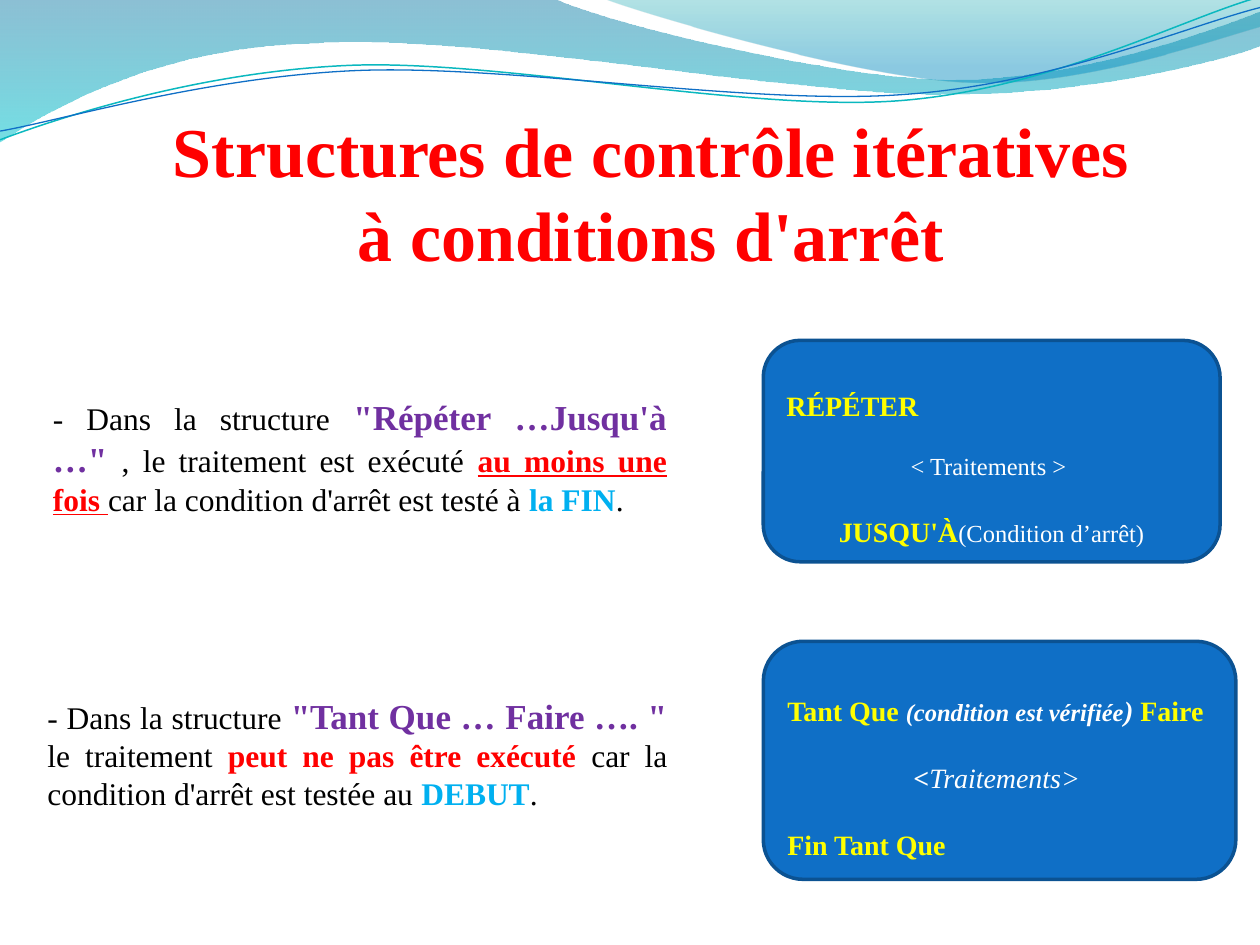
import pptx
import pptx.dml.color
import pptx.enum.shapes
import pptx.enum.text
import pptx.oxml.ns
import pptx.util
from lxml import etree

Pt = pptx.util.Pt
RGB = pptx.dml.color.RGBColor
ALIGN = pptx.enum.text.PP_ALIGN
qn = pptx.oxml.ns.qn

RED = RGB(0xFF, 0x00, 0x00)
BLACK = RGB(0x00, 0x00, 0x00)
WHITE = RGB(0xFF, 0xFF, 0xFF)
YELLOW = RGB(0xFF, 0xFF, 0x00)
PURPLE = RGB(0x70, 0x30, 0xA0)
SKY = RGB(0x00, 0xB0, 0xF0)
BLUE = RGB(0x0F, 0x6F, 0xC6)
DARK_BLUE = RGB(0x0B, 0x52, 0x92)
TURQUOISE = RGB(0x0A, 0xB8, 0xBF)
BAND_TOP, BAND_BOTTOM = RGB(0x00, 0x74, 0xA1), RGB(0x00, 0xC6, 0xCF)
CREST_TOP, CREST_BOTTOM = RGB(0x00, 0xA1, 0xA9), RGB(0x00, 0x8B, 0xBF)
FONT = "Times New Roman"

BAND = [[(0, 0)], [(316.8, -0.7)],
        [(342.7, 12.2), (478.1, 45.4), (545.8, 45.4)],
        [(614.2, 45.4), (689.8, 18.7), (720, 6.5)],
        [(720.7, 25.9)],
        [(707.8, 31.7), (626.4, 54.7), (537.1, 54)],
        [(447.8, 54), (275, 20.2), (185, 24.5)],
        [(92.9, 25.9), (33.1, 59.8), (-0.7, 81.4)]]
CREST = [[(344.9, -0.7)],
         [(366.5, 7.9), (491, 44.6), (553.7, 46.8)],
         [(616.3, 49.7), (691.9, 23), (720, 15.1)],
         [(720, 0)]]
UPPER_LINE = [[(0, 79.9)],
              [(34.6, 67), (113.8, 41), (199.4, 37.4)],
              [(284.4, 33.8), (427, 64.1), (513.4, 57.6)],
              [(599.8, 51.1), (675.4, 10.8), (718.6, -1.4)]]
LOWER_LINE = [[(0, 74.9)],
              [(33.8, 69.1), (118.1, 43.9), (203.8, 40.3)],
              [(290.2, 36.7), (429.8, 60.5), (516.2, 54)],
              [(601.9, 48.2), (677.5, 15.1), (720, 4.3)]]


def add_outline(slide, left, top, outline, closed):
    anchors = [(Pt(segment[-1][0]), Pt(segment[-1][1])) for segment in outline]
    builder = slide.shapes.build_freeform(*anchors[0], scale=1.0)
    builder.add_line_segments(anchors[1:], close=closed)
    wave = builder.convert_to_shape(Pt(left), Pt(top))
    wave.shadow.inherit = False
    min_x, min_y = (min(values) for values in zip(*anchors))
    straight_steps = list(wave._element.iter(qn("a:lnTo")))
    for step, segment in zip(straight_steps, outline[1:]):
        if len(segment) == 3:
            curve = etree.Element(qn("a:cubicBezTo"))
            for x, y in segment:
                etree.SubElement(curve, qn("a:pt"), x=str(Pt(x) - min_x), y=str(Pt(y) - min_y))
            step.getparent().replace(step, curve)
    return wave


def add_waves(slide, left, top):
    for outline, tints in ((BAND, ((0, BAND_TOP, 45), (1, BAND_BOTTOM, 55))),
                           (CREST, ((0, CREST_TOP, 30), (0.8, CREST_BOTTOM, 45)))):
        wave = add_outline(slide, left, top, outline, True)
        wave.line.fill.background()
        wave.fill.gradient()
        wave.fill.gradient_angle = 270
        for stop, (position, color, opacity) in zip(wave.fill.gradient_stops, tints):
            stop.position = position
            stop.color.rgb = color
            for rgb in stop._gs.iter(qn("a:srgbClr")):
                etree.SubElement(rgb, qn("a:alpha"), val=str(opacity * 1000))
    for outline, color, width in ((UPPER_LINE, TURQUOISE, 0.85), (LOWER_LINE, BLUE, 0.75)):
        wave = add_outline(slide, left, top, outline, False)
        wave.fill.background()
        wave.line.color.rgb = color
        wave.line.width = Pt(width)


def add_run(paragraph, text, size, color, bold=False, italic=False, underline=False):
    run = paragraph.add_run()
    run.text = text
    run.font.name = FONT
    run.font.size = Pt(size)
    run.font.color.rgb = color
    run.font.bold = bold
    run.font.italic = italic
    run.font.underline = underline


def add_title(slide, left, top, width, height, lines):
    title = slide.shapes.title
    title.left, title.top, title.width, title.height = map(Pt, (left, top, width, height))
    frame = title.text_frame
    frame.auto_size = pptx.enum.text.MSO_AUTO_SIZE.NONE
    frame.vertical_anchor = pptx.enum.text.MSO_ANCHOR.BOTTOM
    frame.margin_left = frame.margin_right = frame.margin_bottom = 0
    paragraph = frame.paragraphs[0]
    paragraph.alignment = ALIGN.CENTER
    for index, line in enumerate(lines):
        if index:
            paragraph.add_line_break()
        add_run(paragraph, line, 40, RED, bold=True)


def add_explanation(slide, left, top, width, height, runs):
    explanation = slide.shapes.add_textbox(*map(Pt, (left, top, width, height)))
    frame = explanation.text_frame
    frame.word_wrap = True
    frame.auto_size = pptx.enum.text.MSO_AUTO_SIZE.SHAPE_TO_FIT_TEXT
    paragraph = frame.paragraphs[0]
    paragraph.alignment = ALIGN.JUSTIFY
    for run in runs:
        add_run(paragraph, *run)


def add_algorithm(slide, left, top, width, height, lines):
    panel = slide.shapes.add_shape(pptx.enum.shapes.MSO_SHAPE.ROUNDED_RECTANGLE,
                                   *map(Pt, (left, top, width, height)))
    panel.shadow.inherit = False
    panel.fill.solid()
    panel.fill.fore_color.rgb = BLUE
    panel.line.color.rgb = DARK_BLUE
    panel.line.width = Pt(2)
    frame = panel.text_frame
    frame.word_wrap = True
    for index, (alignment, indent, runs) in enumerate(lines):
        paragraph = frame.add_paragraph() if index else frame.paragraphs[0]
        paragraph.alignment = alignment
        paragraph.line_spacing = 2.0
        if indent:
            paragraph._p.get_or_add_pPr().set("marL", str(Pt(indent)))
        for run in runs:
            add_run(paragraph, *run)


def main():
    deck = pptx.Presentation()
    deck.slide_width, deck.slide_height = Pt(720), Pt(540)
    slide = deck.slides.add_slide(deck.slide_layouts[5])
    add_waves(slide, 0, 0)
    add_title(slide, 48, 67.5, 648, 90,
              ["Structures de contrôle itératives", "à conditions d'arrêt"])
    add_explanation(slide, 23.2, 222.5, 365, 75, [
        ("- Dans la structure ", 18, BLACK),
        ("\"Répéter …Jusqu'à …\" ", 20, PURPLE, True),
        (", le traitement est exécuté ", 18, BLACK),
        ("au moins une fois ", 18, RED, True, False, True),
        ("car la condition d'arrêt est testé à ", 18, BLACK),
        ("la FIN", 18, SKY, True),
        (".", 18, BLACK)])
    add_explanation(slide, 20, 393.2, 368.5, 75, [
        ("- Dans la structure ", 18, BLACK),
        ("\"Tant Que … Faire …. \"", 20, PURPLE, True),
        (" le traitement ", 18, BLACK),
        ("peut ne pas être exécuté ", 18, RED, True),
        ("car la condition d'arrêt est testée au ", 18, BLACK),
        ("DEBUT", 18, SKY, True),
        (".", 18, BLACK)])
    add_algorithm(slide, 436.2, 194.5, 261, 126.5, [
        (ALIGN.LEFT, 0, [("RÉPÉTER", 16, YELLOW, True)]),
        (ALIGN.CENTER, 0, [("< Traitements > ", 14, WHITE)]),
        (ALIGN.CENTER, 0, [("JUSQU'À", 16, YELLOW, True),
                           ("(Condition d’arrêt)", 14, WHITE)])])
    add_algorithm(slide, 436.2, 366.5, 270, 136, [
        (ALIGN.LEFT, 0, [("Tant Que ", 16, YELLOW, True),
                         ("(condition est vérifiée", 14, WHITE, True, True),
                         (") ", 16, WHITE, True, True),
                         ("Faire", 16, YELLOW, True)]),
        (ALIGN.LEFT, 72, [("<", 16, WHITE, True, True),
                          ("Traitements>", 16, WHITE, False, True)]),
        (ALIGN.LEFT, 0, [("Fin Tant Que", 16, YELLOW, True)])])
    deck.save("out.pptx")


if __name__ == "__main__":
    main()
